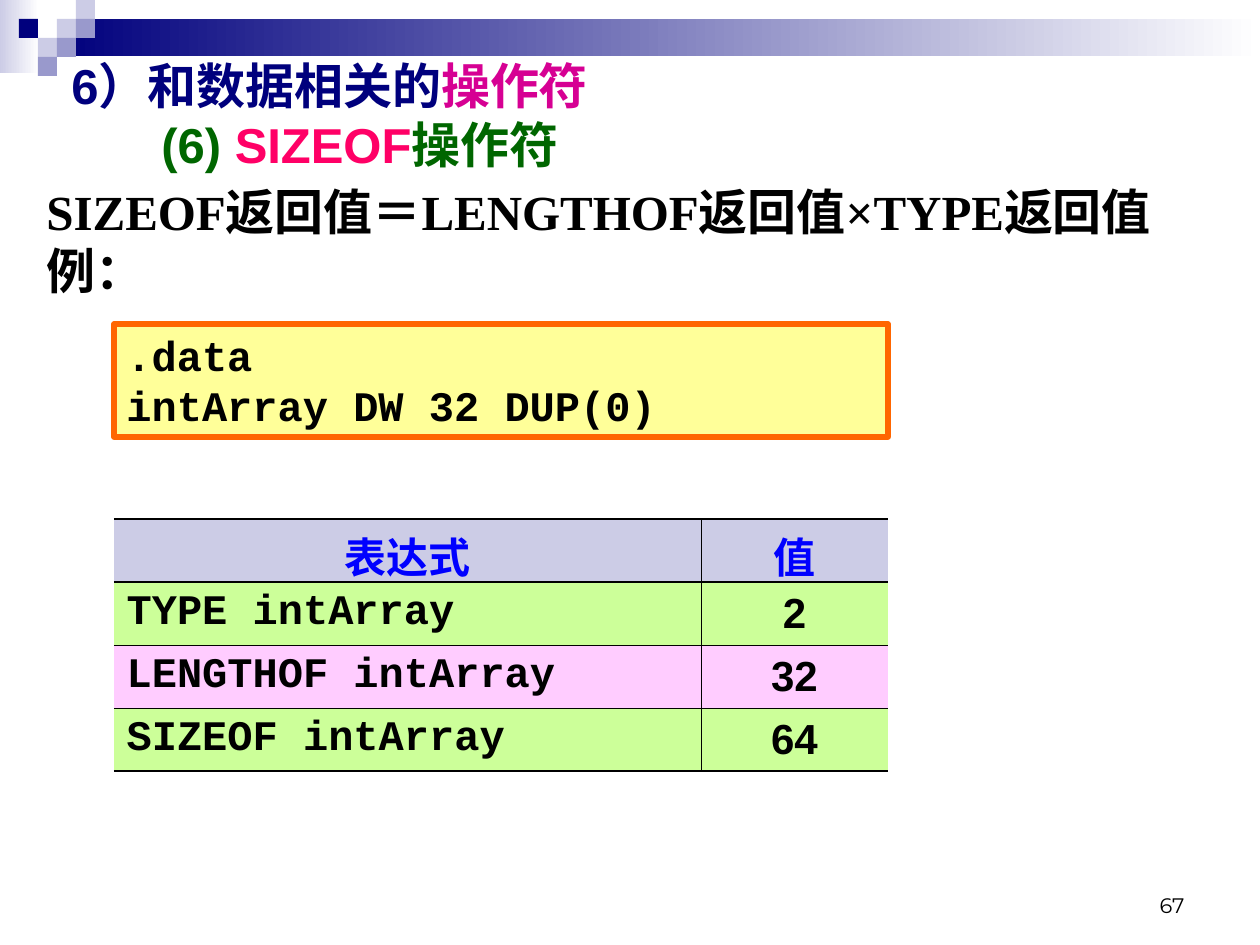
from lxml import etree
from pptx import Presentation
from pptx.dml.color import RGBColor
from pptx.enum.shapes import MSO_SHAPE
from pptx.enum.text import MSO_ANCHOR, PP_ALIGN
from pptx.oxml.ns import qn
from pptx.util import Emu, Pt

RECTANGLE = MSO_SHAPE.RECTANGLE
TOP, MIDDLE, BOTTOM = MSO_ANCHOR.TOP, MSO_ANCHOR.MIDDLE, MSO_ANCHOR.BOTTOM
LEFT, CENTER, RIGHT = PP_ALIGN.LEFT, PP_ALIGN.CENTER, PP_ALIGN.RIGHT

NAVY, LAVENDER, PERIWINKLE = "00007D", "CCCCE6", "9999CC"
BLACK, WHITE, BLUE, GREEN = "000000", "FFFFFF", "0000FF", "006600"
LIME, PINK = "CCFF99", "FFCCFF"
SANS, SERIF, MONO = "Arial", "Times New Roman", "Courier New"
SQUARE = 19


def px(length):
    return Emu(round(length * 914400 / 126))


def color(value):
    return RGBColor.from_string(value)


def add_text(frame, paragraphs, size=24, font=SANS, bold=True, align=LEFT,
             anchor=TOP, line_spacing=None):
    """Write paragraphs, each a list of (text, colour) spans."""
    frame.word_wrap = True
    frame.vertical_anchor = anchor
    for index, spans in enumerate(paragraphs):
        para = frame.paragraphs[0] if index == 0 else frame.add_paragraph()
        para.alignment = align
        if line_spacing:
            para.line_spacing = Pt(line_spacing)
        for text, text_color in spans:
            span = para.add_run()
            span.text = text
            span.font.size = Pt(size)
            span.font.name = font
            span.font.bold = bold
            span.font.color.rgb = color(text_color)


def add_text_box(page, left, top, width, height, paragraphs, **text_format):
    box = page.shapes.add_textbox(px(left), px(top), px(width), px(height))
    add_text(box.text_frame, paragraphs, **text_format)
    return box


def add_rectangle(page, left, top, width, height, *fill_colors):
    """Two fill colours give a gradient from left to right."""
    shape = page.shapes.add_shape(RECTANGLE, px(left), px(top), px(width), px(height))
    shape.shadow.inherit = False
    shape.line.fill.background()
    if len(fill_colors) == 1:
        shape.fill.solid()
        shape.fill.fore_color.rgb = color(fill_colors[0])
    else:
        shape.fill.gradient()
        shape.fill.gradient_angle = 0
        for stop, stop_color in zip(shape.fill.gradient_stops, fill_colors):
            stop.color.rgb = color(stop_color)
    return shape


def add_header_band(page):
    add_rectangle(page, 0, 0, 39, 73, LAVENDER, WHITE)
    add_rectangle(page, 57, SQUARE, 1203, 37, NAVY, WHITE)
    squares = [(3, 1, LAVENDER), (4, 0, LAVENDER), (4, 1, PERIWINKLE),
               (2, 2, LAVENDER), (1, 1, NAVY), (3, 2, PERIWINKLE), (2, 3, PERIWINKLE)]
    for column, row, fill_color in squares:
        add_rectangle(page, column * SQUARE, row * SQUARE, SQUARE, SQUARE, fill_color)


def add_code_box(page, left, top, width, height, lines):
    box = add_rectangle(page, left, top, width, height, "FFFF99")
    box.line.color.rgb = color("FF6600")
    box.line.width = Pt(3)
    add_text(box.text_frame, [[(line, BLACK)] for line in lines],
             font=MONO, line_spacing=28.5)


def set_borders(cell, widths):
    """Set left, right, top and bottom border widths; 0 hides a border."""
    properties = cell._tc.get_or_add_tcPr()
    for index, (side, width) in enumerate(zip("LRTB", widths)):
        line = etree.Element(qn(f"a:ln{side}"), w=str(Pt(width)))
        if width:
            fill = etree.SubElement(line, qn("a:solidFill"))
            etree.SubElement(fill, qn("a:srgbClr"), val=BLACK)
        else:
            etree.SubElement(line, qn("a:noFill"))
        properties.insert(index, line)


def add_value_table(page, left, top, column_widths, row_height, rows):
    frame = page.shapes.add_table(len(rows), len(column_widths), px(left), px(top),
                                  px(sum(column_widths)), px(row_height * len(rows)))
    table = frame.table
    table.first_row = table.horz_banding = False
    for column, width in zip(table.columns, column_widths):
        column.width = px(width)
    row_lines = [1.08, 1.08, 0.34, 0.45, 1.08]
    row_fills = ["CCCCE6", LIME, PINK, LIME]
    for row_index, values in enumerate(rows):
        table.rows[row_index].height = px(row_height)
        is_header = row_index == 0
        for column_index, value in enumerate(values):
            is_code = column_index == 0 and not is_header
            cell = table.cell(row_index, column_index)
            cell.fill.solid()
            cell.fill.fore_color.rgb = color(row_fills[row_index])
            cell.vertical_anchor = MIDDLE
            sides = (0, 0.45) if column_index == 0 else (0.45, 0)
            set_borders(cell, (*sides, *row_lines[row_index:row_index + 2]))
            add_text(cell.text_frame, [[(value, BLUE if is_header else BLACK)]],
                     font=MONO if is_code else SANS,
                     align=LEFT if is_code else CENTER, anchor=MIDDLE)


def main():
    deck = Presentation()
    deck.slide_width, deck.slide_height = px(1260), px(945)
    page = deck.slides.add_slide(deck.slide_layouts[6])

    add_header_band(page)
    add_text_box(page, 903, 861, 294, 63, [[("67", BLACK)]], size=12,
                 font="Montserrat", bold=False, align=RIGHT, anchor=BOTTOM)
    add_text_box(page, 34, 175, 1201, 755,
                 [[("SIZEOF返回值＝LENGTHOF返回值×TYPE返回值", BLACK)], [("例：", BLACK)]],
                 size=28, font=SERIF)
    title = add_text_box(
        page, 59, 45, 1177, 139,
        [[("6）和数据相关的", NAVY), ("操作符", "D60093")],
         [("(6) ", GREEN), ("SIZEOF", "FF0066"), ("操作符", GREEN)]],
        size=28, anchor=MIDDLE)
    subtitle = title.text_frame.paragraphs[1]
    subtitle._p.get_or_add_pPr().set("marL", str(px(90)))

    add_code_box(page, 114, 324, 774, 113, [".data", "intArray DW 32 DUP(0)"])
    add_value_table(page, 114, 519, [587, 187], 63, [
        ("表达式", "值"),
        ("TYPE intArray", "2"),
        ("LENGTHOF intArray", "32"),
        ("SIZEOF intArray", "64"),
    ])
    deck.save("out.pptx")


if __name__ == "__main__":
    main()
